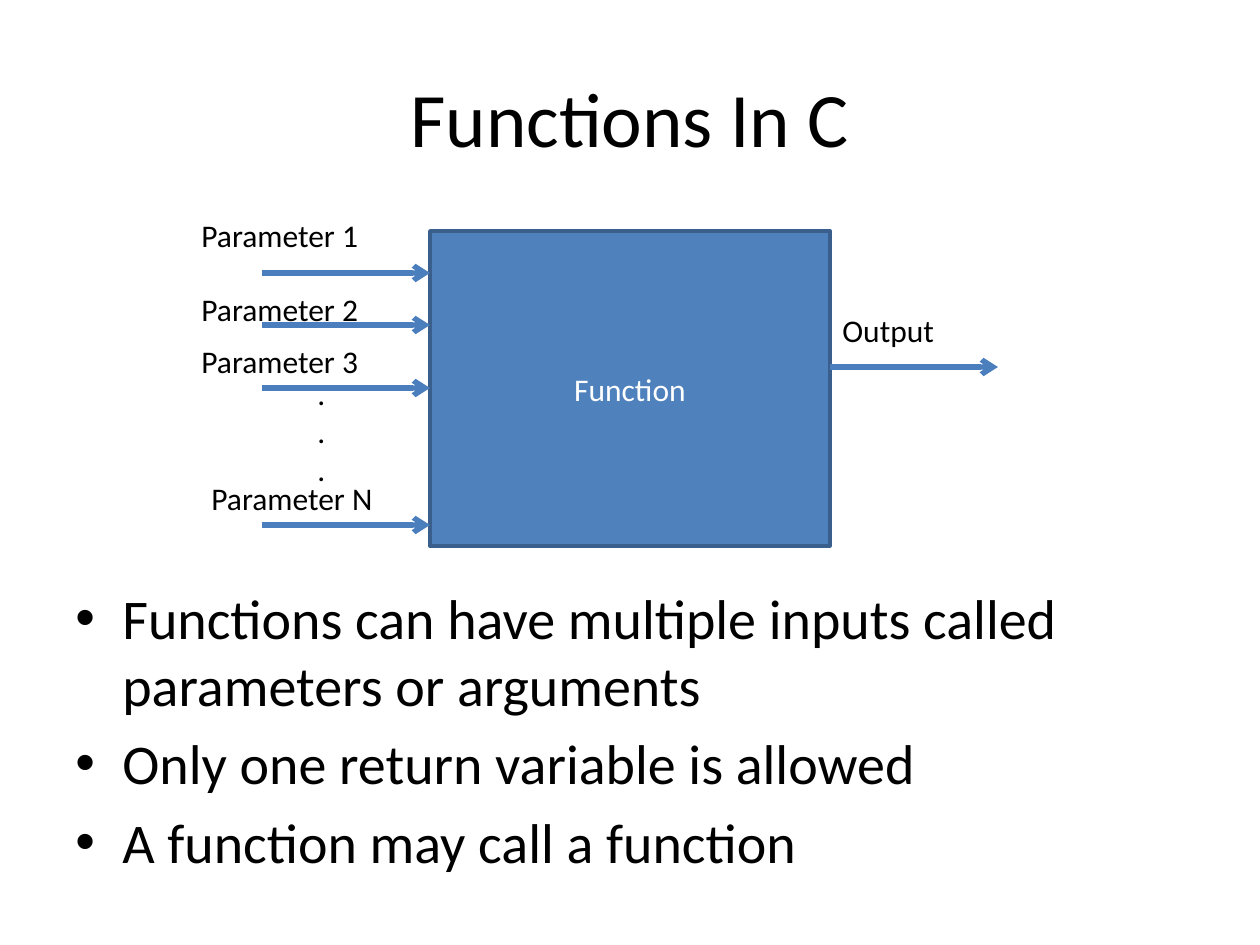
from lxml.etree import SubElement
from pptx import Presentation
from pptx.dml.color import RGBColor
from pptx.enum.shapes import MSO_CONNECTOR as Connector, MSO_SHAPE as Shape
from pptx.enum.text import MSO_ANCHOR as Anchor, MSO_AUTO_SIZE as AutoSize, PP_ALIGN as Align
from pptx.oxml.ns import qn
from pptx.util import Pt

# Content; all lengths in pixels, 126 to the inch
TITLE = "Functions In C"
BULLETS = [
    "Functions can have multiple inputs called parameters or arguments",
    "Only one return variable is allowed",
    "A function may call a function",
]
BLOCK_TEXT = "Function"
BLOCK = (430, 231, 400, 315)
# label, label left, label top, arrow height
INPUTS = [
    ("Parameter 1", 189, 210, 273),
    ("Parameter 2", 189, 284, 325),
    ("Parameter 3", 189, 336, 388),
    ("Parameter N", 199, 473, 525),
]
OUTPUT = ("Output", 830, 305, 367)
DOTS = [".", ".", "."]
DOTS_AREA = (305, 368, 53, 127)
LABEL_SIZE = (210, 53)
ARROW_LENGTH = 168
BULLET_INDENT = 47

FONT = "Calibri"
BLACK = RGBColor(0x00, 0x00, 0x00)
WHITE = RGBColor(0xFF, 0xFF, 0xFF)
BLUE = RGBColor(0x4F, 0x81, 0xBD)
EDGE = RGBColor(0x3A, 0x5F, 0x8C)
ARROW = RGBColor(0x4B, 0x7E, 0xBC)


def px(length):
    """Turn pixels into EMU."""
    return round(length * 914400 / 126)


def write(shape, lines, size, color=BLACK, align=Align.LEFT, anchor=Anchor.TOP):
    """Fill a shape with one formatted paragraph per line."""
    frame = shape.text_frame
    frame.word_wrap = True
    frame.vertical_anchor = anchor
    frame.text = "\n".join(lines)
    for para in frame.paragraphs:
        para.alignment = align
        for span in para.runs:
            span.font.name = FONT
            span.font.size = Pt(size)
            span.font.color.rgb = color


def add_text(area, lines, size, **layout):
    """Add a text box over an area and return it."""
    box = page.shapes.add_textbox(*map(px, area))
    write(box, lines, size, **layout)
    return box


def add_label(area, lines):
    """Add a small diagram label that grows with its text."""
    add_text(area, lines, 18).text_frame.auto_size = AutoSize.SHAPE_TO_FIT_TEXT


def add_bullet(para):
    """Give a paragraph a bullet, a hanging indent and space before."""
    para.space_before = Pt(6.4)
    props = para._p.get_or_add_pPr()
    props.set("marL", str(px(BULLET_INDENT)))
    props.set("indent", str(-px(BULLET_INDENT)))
    SubElement(props, qn("a:buFont"), typeface="Arial")
    SubElement(props, qn("a:buChar"), char="•")


def add_arrow(left, height):
    """Add a horizontal arrow pointing right."""
    line = page.shapes.add_connector(
        Connector.STRAIGHT, px(left), px(height), px(left + ARROW_LENGTH), px(height))
    line.line.color.rgb = ARROW
    line.line.width = Pt(3)
    SubElement(line.line._get_or_add_ln(), qn("a:tailEnd"), type="arrow")
    SubElement(line._element.spPr, qn("a:effectLst"))


deck = Presentation()
deck.slide_width, deck.slide_height = px(1260), px(945)
page = deck.slides.add_slide(deck.slide_layouts[6])

add_text((63, 38, 1134, 157), [TITLE], 44, align=Align.CENTER, anchor=Anchor.MIDDLE)
body = add_text((63, 577, 1134, 315), BULLETS, 32)
for item in body.text_frame.paragraphs:
    add_bullet(item)

block = page.shapes.add_shape(Shape.RECTANGLE, *map(px, BLOCK))
block.shadow.inherit = False
block.fill.solid()
block.fill.fore_color.rgb = BLUE
block.line.color.rgb = EDGE
block.line.width = Pt(2)
write(block, [BLOCK_TEXT], 18, WHITE, Align.CENTER, Anchor.MIDDLE)

block_left, block_right = BLOCK[0], BLOCK[0] + BLOCK[2]
arrow_starts = [block_left - ARROW_LENGTH] * len(INPUTS) + [block_right]
for (label, left, top, height), start in zip(INPUTS + [OUTPUT], arrow_starts):
    add_arrow(start, height)
    add_label((left, top, *LABEL_SIZE), [label])
add_label(DOTS_AREA, DOTS)

deck.save("out.pptx")
